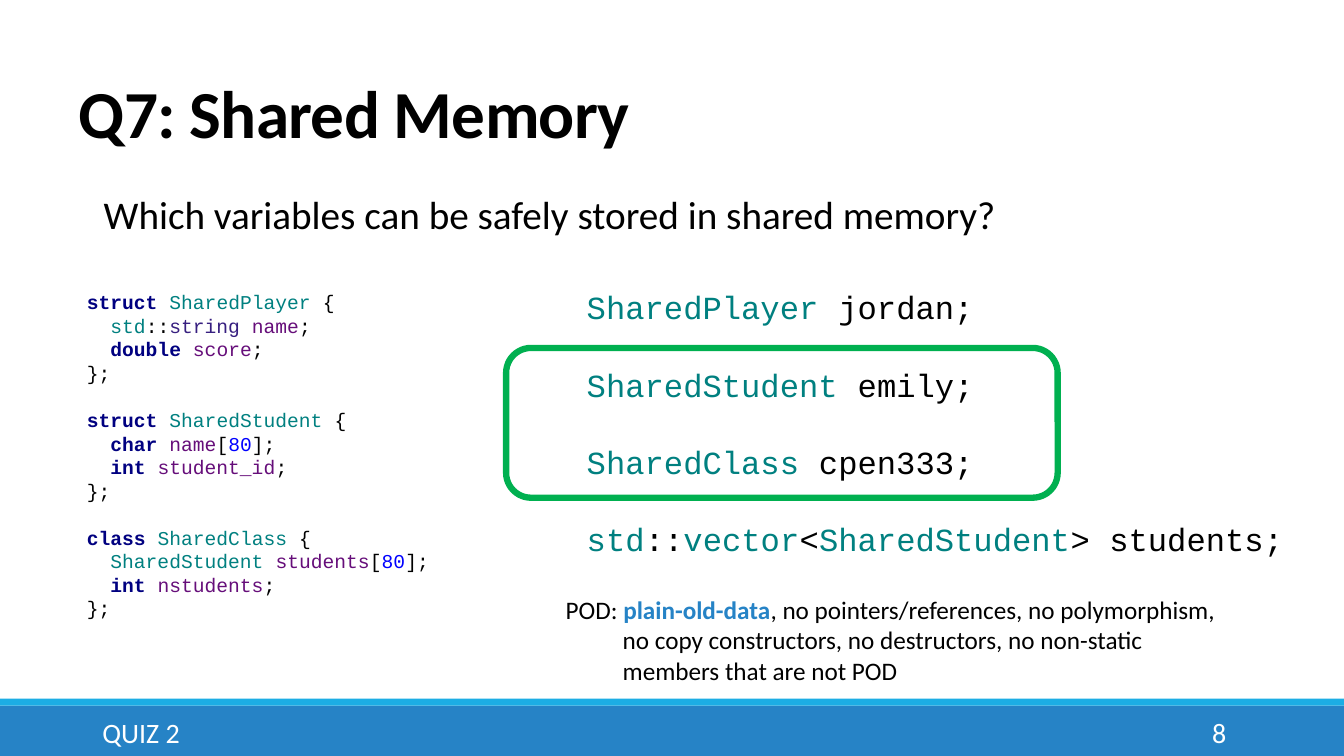
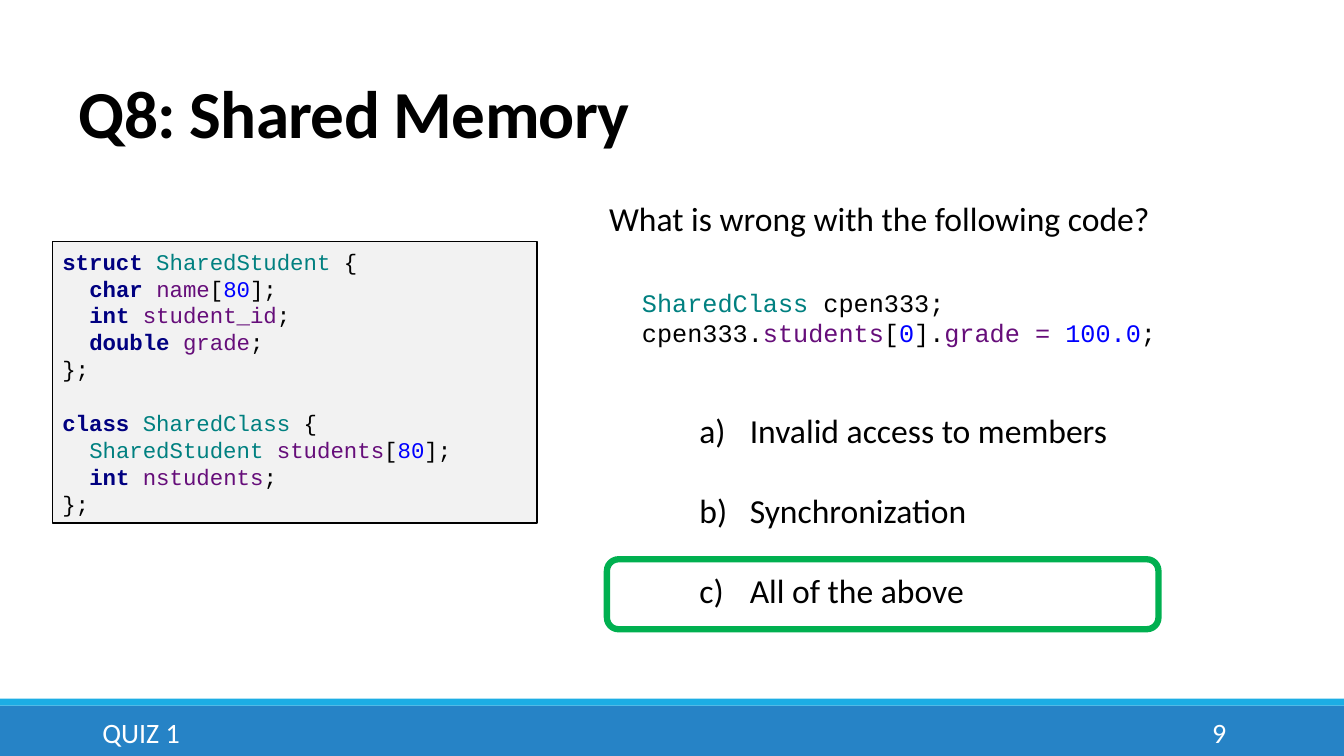
"""Build two quiz slides about storing data in shared memory."""
from dataclasses import dataclass, field
from typing import Optional

from pptx import Presentation
from pptx.dml.color import RGBColor
from pptx.enum.shapes import MSO_SHAPE
from pptx.enum.text import MSO_ANCHOR, MSO_AUTO_SIZE, PP_ALIGN
from pptx.oxml.xmlchemy import OxmlElement
from pptx.util import Pt


@dataclass(frozen=True)
class Theme:
    """Colours, fonts and type sizes of the deck."""
    black: str = "000000"
    white: str = "FFFFFF"
    panel: str = "F2F2F2"
    band: str = "2683C6"
    stripe: str = "1CADE4"
    answer: str = "00B050"
    body_font: str = "Calibri"
    code_font: str = "Courier New"
    title_size: float = 48
    footer_size: float = 20
    answer_line: float = 4.5
    panel_line: float = 1.25
    code_leading: float = 1.2
    code_advance: float = 0.6
    roles: dict = field(default_factory=lambda: {
        "kw": ("000080", True),
        "type": ("008080", False),
        "lib": ("371F80", False),
        "field": ("660E7A", False),
        "num": ("0000FF", False),
        "term": ("2683C6", True),
    })


THEME = Theme()


@dataclass(frozen=True)
class Box:
    """A place on the slide, in points."""
    left: float
    top: float
    width: float
    height: float

    def lengths(self) -> tuple:
        """Give the four lengths in the order that shapes take them."""
        return Pt(self.left), Pt(self.top), Pt(self.width), Pt(self.height)


@dataclass(frozen=True)
class Prose:
    """Body text: lines of role-marked pieces, with an optional indent."""
    box: Box
    lines: tuple
    size: float
    color: str = THEME.black
    align: PP_ALIGN = PP_ALIGN.LEFT
    anchor: MSO_ANCHOR = MSO_ANCHOR.TOP
    margin: float = 0
    hanging: bool = False
    lettered: bool = False
    gap: float = 0


@dataclass(frozen=True)
class Code:
    """A code panel: blocks of lines, set apart by one line of space."""
    box: Box
    blocks: tuple
    size: float
    fill: str = THEME.white
    outlined: bool = False


@dataclass(frozen=True)
class QuizSlide:
    """Everything that differs between the slides."""
    title: str
    quiz: str
    number: int
    prose: tuple
    code: tuple
    answer: Box


def rgb(color: str) -> RGBColor:
    """Turn a hex string into a colour."""
    return RGBColor.from_string(color)


def add_spans(paragraph, marked: str, font: str, size: float, color: str) -> None:
    """Write pieces split by bars; a role before a colon styles its piece."""
    for piece in marked.split("|"):
        role, _, body = piece.partition(":")
        known = role in THEME.roles
        ink, bold = THEME.roles[role] if known else (color, False)
        run = paragraph.add_run()
        run.text = body if known else piece
        run.font.name = font
        run.font.size = Pt(size)
        run.font.bold = bold
        run.font.color.rgb = rgb(ink)


def set_indent(paragraph, margin: float, first: float = 0) -> None:
    """Set the left margin and first-line indent of a paragraph."""
    properties = paragraph._p.get_or_add_pPr()
    properties.set("marL", str(int(Pt(margin))))
    properties.set("indent", str(int(Pt(first))))


def add_letter(paragraph) -> None:
    """Number a paragraph with a lower-case letter and a bracket."""
    numbering = OxmlElement("a:buAutoNum")
    numbering.set("type", "alphaLcParenR")
    paragraph._p.get_or_add_pPr().append(numbering)


def paragraph_at(frame, index: int):
    """Give the first paragraph of a frame, or a new one after it."""
    return frame.add_paragraph() if index else frame.paragraphs[0]


def add_block(slide, box: Box, fill: Optional[str] = None,
              line: Optional[str] = None, weight: float = 0,
              preset: MSO_SHAPE = MSO_SHAPE.RECTANGLE):
    """Draw a preset shape with the given fill and outline."""
    block = slide.shapes.add_shape(preset, *box.lengths())
    block.shadow.inherit = False
    if fill:
        block.fill.solid()
        block.fill.fore_color.rgb = rgb(fill)
    else:
        block.fill.background()
    if line:
        block.line.color.rgb = rgb(line)
        block.line.width = Pt(weight)
    else:
        block.line.fill.background()
    return block


def add_prose(slide, prose: Prose) -> None:
    """Draw a text box of body text."""
    frame = slide.shapes.add_textbox(*prose.box.lengths()).text_frame
    frame.word_wrap = True
    frame.vertical_anchor = prose.anchor
    for index, line in enumerate(prose.lines):
        paragraph = paragraph_at(frame, index)
        paragraph.alignment = prose.align
        if index:
            paragraph.space_before = Pt(prose.gap)
        if prose.margin:
            outdented = prose.lettered or (prose.hanging and index == 0)
            set_indent(paragraph, prose.margin, -prose.margin if outdented else 0)
        if prose.lettered:
            add_letter(paragraph)
        add_spans(paragraph, line, THEME.body_font, prose.size, prose.color)


def add_code(slide, code: Code) -> None:
    """Draw a code panel, turning leading spaces into indents."""
    outline = THEME.black if code.outlined else None
    panel = add_block(slide, code.box, code.fill, outline, THEME.panel_line)
    frame = panel.text_frame
    frame.word_wrap = True
    frame.vertical_anchor = MSO_ANCHOR.MIDDLE
    leading = Pt(code.size * THEME.code_leading)
    lines = [(line, block_index > 0 and line_index == 0)
             for block_index, block in enumerate(code.blocks)
             for line_index, line in enumerate(block)]
    for index, (line, opens_block) in enumerate(lines):
        paragraph = paragraph_at(frame, index)
        paragraph.alignment = PP_ALIGN.LEFT
        paragraph.line_spacing = leading
        if opens_block:
            paragraph.space_before = leading
        statement = line.lstrip()
        depth = len(line) - len(statement)
        set_indent(paragraph, depth * code.size * THEME.code_advance)
        add_spans(paragraph, statement, THEME.code_font, code.size, THEME.black)


def add_title(slide, title: str) -> None:
    """Place and format the title placeholder."""
    heading = slide.shapes.title
    heading.left, heading.top, heading.width, heading.height = Box(49, 51, 792, 61).lengths()
    frame = heading.text_frame
    frame.text = title
    frame.auto_size = MSO_AUTO_SIZE.NONE
    frame.word_wrap = True
    frame.vertical_anchor = MSO_ANCHOR.BOTTOM
    paragraph = frame.paragraphs[0]
    paragraph.alignment = PP_ALIGN.LEFT
    paragraph.line_spacing = 0.85
    run = paragraph.runs[0]
    run.font.name = THEME.body_font
    run.font.size = Pt(THEME.title_size)
    run.font.bold = True
    run.font.color.rgb = rgb(THEME.black)
    run._r.get_or_add_rPr().set("spc", "-50")


def add_footer(slide, quiz: str, number: int) -> None:
    """Draw the bands with the quiz name and the slide number."""
    add_block(slide, Box(0, 504, 960, 36), THEME.band)
    add_block(slide, Box(0, 499, 960, 5), THEME.stripe)
    for box, label, align in (
        (Box(66, 508.5, 604, 29), quiz, PP_ALIGN.LEFT),
        (Box(780, 508.5, 103, 29), str(number), PP_ALIGN.RIGHT),
    ):
        add_prose(slide, Prose(box, (label,), THEME.footer_size, THEME.white,
                               align, MSO_ANCHOR.MIDDLE))


def add_quiz_slide(deck, quiz_slide: QuizSlide) -> None:
    """Add one slide to the deck."""
    slide = deck.slides.add_slide(deck.slide_layouts[5])
    add_footer(slide, quiz_slide.quiz, quiz_slide.number)
    add_title(slide, quiz_slide.title)
    for code in quiz_slide.code:
        add_code(slide, code)
    for prose in quiz_slide.prose:
        add_prose(slide, prose)
    add_block(slide, quiz_slide.answer, line=THEME.answer,
              weight=THEME.answer_line, preset=MSO_SHAPE.ROUNDED_RECTANGLE)


PLAYER = ("kw:struct |type:SharedPlayer |{", "  type:std|::|lib:string |field:name|;",
          "  kw:double |field:score|;", "};")
STUDENT = ("kw:struct |type:SharedStudent |{", "  kw:char |field:name|[|num:80|];",
           "  kw:int |field:student_id|;", "};")
GRADED_STUDENT = (*STUDENT[:-1], "  kw:double |field:grade|;", "};")
CLASS = ("kw:class |type:SharedClass |{",
         "  type:SharedStudent |field:students|[|num:80|];",
         "  kw:int |field:nstudents|;", "};")
CLASS_VARIABLE = "type:SharedClass |cpen333;"
VARIABLES = (
    ("type:SharedPlayer |jordan;",),
    ("type:SharedStudent |emily;",),
    (CLASS_VARIABLE,),
    ("type:std|::|type:vector|<|type:SharedStudent|> students;",),
)
ASSIGNMENT = (CLASS_VARIABLE,
              "cpen333.|field:students|[|num:0|].|field:grade = |num:100.0|;")
POD = ("POD: |term:plain-old-data|, no pointers/references, no polymorphism,",
       "no copy constructors, no destructors, no non-static",
       "members that are not POD")

QUIZ_SLIDES = (
    QuizSlide(
        "Q7: Shared Memory", "QUIZ 2", 8,
        prose=(
            Prose(Box(67, 132.5, 859, 41),
                  ("Which variables can be safely stored in shared memory?",), 28),
            Prose(Box(397, 421, 485, 73), POD, 18, margin=40.7, hanging=True),
        ),
        code=(
            Code(Box(55, 202.5, 346, 245), (PLAYER, STUDENT, CLASS), 14),
            Code(Box(412, 201, 514, 202), VARIABLES, 23),
        ),
        answer=Box(361.5, 248.5, 394, 107),
    ),
    QuizSlide(
        "Q8: Shared Memory", "QUIZ 1", 9,
        prose=(
            Prose(Box(428, 138, 404, 36), ("What is wrong with the following code?",), 24),
            Prose(Box(492.5, 289, 308, 211),
                  ("Invalid access to members", "Synchronization", "All of the above"),
                  24, margin=36, lettered=True, gap=28.5),
        ),
        code=(
            Code(Box(37.5, 172.5, 346, 201), (GRADED_STUDENT, CLASS), 16,
                 THEME.panel, outlined=True),
            Code(Box(451.5, 201, 490, 51), (ASSIGNMENT,), 18),
        ),
        answer=Box(433.5, 399.5, 394, 50),
    ),
)


def main() -> None:
    """Build and save the deck."""
    deck = Presentation()
    deck.slide_width, deck.slide_height = Pt(960), Pt(540)
    for quiz_slide in QUIZ_SLIDES:
        add_quiz_slide(deck, quiz_slide)
    deck.save("out.pptx")


main()
